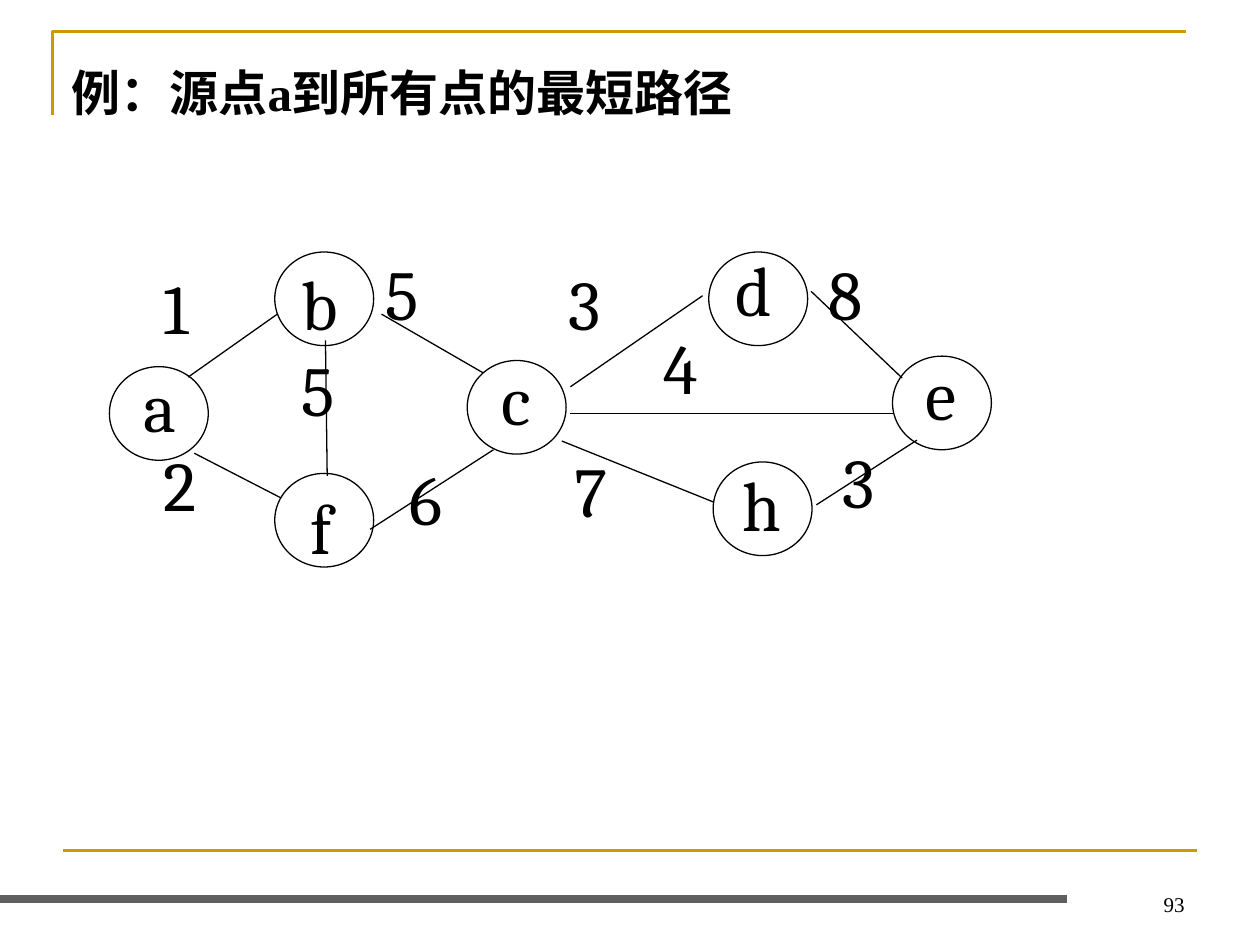
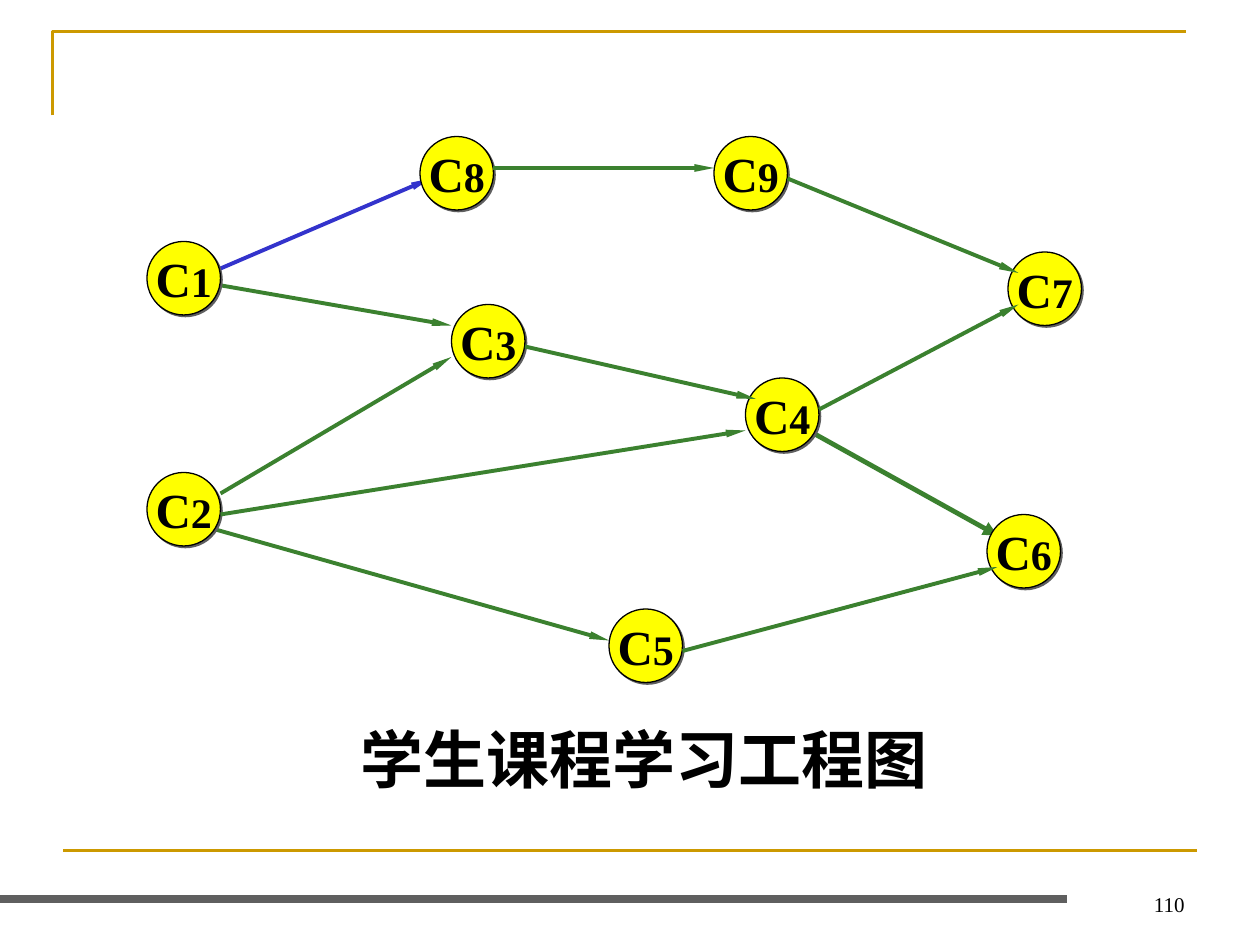
from dataclasses import dataclass

from lxml import etree
from pptx import Presentation
from pptx import util as u
from pptx.dml.color import RGBColor
from pptx.enum import shapes, text
from pptx.oxml import ns

Pt = u.Pt

BLACK = RGBColor(0x00, 0x00, 0x00)
WHITE = RGBColor(0xFF, 0xFF, 0xFF)
GOLD = RGBColor(0xCC, 0x99, 0x00)
GREY = RGBColor(0x5F, 0x5F, 0x5F)
GREEN = RGBColor(0x3B, 0x81, 0x2F)
BLUE = RGBColor(0x33, 0x33, 0xCC)
YELLOW = RGBColor(0xFF, 0xFF, 0x00)

SERIF = "Times New Roman"
GRAPH_FONT = "Cambria"
CHINESE_FONT = "Noto Sans CJK SC"
VERTEX_SIZE = (56.5, 53.5)
COURSE_SIZE = (42, 42)


@dataclass
class Label:
    content: str
    left: float
    top: float
    width: float = 75.5
    height: float = 104
    size: float = 40
    font: str = GRAPH_FONT
    bold: bool = False
    wrap: bool = True
    align: text.PP_ALIGN = text.PP_ALIGN.LEFT
    anchor: text.MSO_ANCHOR = text.MSO_ANCHOR.TOP


@dataclass
class Vertex:
    left: float
    top: float
    label: Label


@dataclass
class Edge:
    x1: float
    y1: float
    x2: float
    y2: float
    color: RGBColor = BLACK
    width: float = 0.75
    head: tuple[str, str] | None = None


@dataclass
class Course:
    number: str
    left: float
    top: float


def arrow(x1: float, y1: float, x2: float, y2: float, color: RGBColor = GREEN) -> Edge:
    return Edge(x1, y1, x2, y2, color, 2.25, ("sm", "lg"))


FRAME_LINES = [
    Edge(36, 486, 684, 486, GOLD, 1.5),
    Edge(0, 513.75, 610, 513.75, GREY, 4.5),
]

VERTICES = [
    Vertex(157, 144, Label("b", 165, 145.5, 83.5, 91.5)),
    Vertex(405, 144, Label("d", 413, 137.5, 94.5)),
    Vertex(267, 206, Label("c", 279.5, 199.5, 94.5)),
    Vertex(157, 270.5, Label("f", 170.5, 273.5, 55.5, 85)),
    Vertex(407.5, 264, Label("h", 417, 260, 94.5)),
    Vertex(62.5, 209.5, Label("a", 75, 203.5, 78.5, 98.5)),
    Vertex(510, 203.5, Label("e", 522, 196.5, 94.5)),
]

PATHS = [
    Edge(158.5, 179.5, 107.5, 215.5),
    Edge(326, 236.25, 510.5, 236.25),
    Edge(218, 179.5, 276, 213),
    Edge(282, 257, 211.5, 302.5),
    Edge(111, 259, 160.5, 284.5),
    Edge(186, 194.5, 187, 272),
    Edge(401.5, 169, 326, 221),
    Edge(321, 252, 408, 287),
    Edge(463.5, 166.5, 515.5, 216),
    Edge(524, 251.5, 466.5, 288.5),
]

WEIGHTS = [
    Label("3", 474.5, 247),
    Label("2", 86.5, 249),
    Label("8", 466.5, 139.5),
    Label("7", 321, 252),
    Label("5", 213, 139.5),
    Label("1", 86.5, 147.5),
    Label("4", 372, 182),
    Label("3", 318, 145.5),
    Label("5", 165, 194.5),
    Label("6", 227, 257),
]

COURSES = [
    Course("8", 240, 78),
    Course("3", 258, 174),
    Course("5", 348, 348),
    Course("4", 426, 216),
    Course("9", 408, 78),
    Course("6", 564, 294),
    Course("7", 576, 144),
    Course("1", 84, 138),
    Course("2", 84, 270),
]

ARROWS_BEHIND = [
    Edge(462, 246, 570, 306, GREEN, 2.75, ("med", "med")),
    arrow(114, 300, 348, 366),
    arrow(126, 282, 258, 204),
    arrow(120, 162, 258, 186),
    arrow(120, 156, 246, 102, BLUE),
]

ARROWS_IN_FRONT = [
    arrow(282, 96, 408, 96),
    arrow(300, 198, 432, 228),
    arrow(126, 294, 426, 246),
    arrow(450, 102, 582, 156),
    arrow(468, 234, 582, 174),
    arrow(390, 372, 570, 324),
]


def style_run(run, size: float, font: str, bold: bool) -> None:
    run.font.size = Pt(size)
    run.font.name = font
    run.font.bold = bold
    run.font.color.rgb = BLACK
    etree.SubElement(run.font._element, ns.qn("a:ea"), typeface=CHINESE_FONT)


def draw_label(slide, label: Label) -> None:
    box = slide.shapes.add_textbox(
        Pt(label.left), Pt(label.top), Pt(label.width), Pt(label.height))
    frame = box.text_frame
    frame.word_wrap = label.wrap
    frame.vertical_anchor = label.anchor
    frame.text = label.content
    paragraph = frame.paragraphs[0]
    paragraph.alignment = label.align
    style_run(paragraph.runs[0], label.size, label.font, label.bold)


def draw_edge(slide, edge: Edge) -> None:
    line = slide.shapes.add_connector(
        shapes.MSO_CONNECTOR.STRAIGHT,
        Pt(edge.x1), Pt(edge.y1), Pt(edge.x2), Pt(edge.y2))
    line.line.color.rgb = edge.color
    line.line.width = Pt(edge.width)
    if edge.head:
        width, length = edge.head
        etree.SubElement(line.line._get_or_add_ln(), ns.qn("a:tailEnd"),
                         type="triangle", w=width, len=length)
    etree.SubElement(line._element.spPr, ns.qn("a:effectLst"))


def draw_circle(slide, left: float, top: float, size: tuple[float, float], fill: RGBColor):
    circle = slide.shapes.add_shape(
        shapes.MSO_SHAPE.OVAL, Pt(left), Pt(top), Pt(size[0]), Pt(size[1]))
    circle.fill.solid()
    circle.fill.fore_color.rgb = fill
    circle.line.color.rgb = BLACK
    circle.line.width = Pt(0.75)
    circle.shadow.inherit = False
    return circle


def draw_vertex(slide, vertex: Vertex) -> None:
    draw_circle(slide, vertex.left, vertex.top, VERTEX_SIZE, WHITE)
    draw_label(slide, vertex.label)


def draw_course(slide, course: Course) -> None:
    circle = draw_circle(slide, course.left, course.top, COURSE_SIZE, YELLOW)
    effects = circle._element.spPr.find(ns.qn("a:effectLst"))
    shadow = etree.SubElement(effects, ns.qn("a:outerShdw"), dist=str(Pt(1.4)),
                              dir="2700000", algn="ctr", rotWithShape="0")
    etree.SubElement(shadow, ns.qn("a:srgbClr"), val=str(GREY))
    frame = circle.text_frame
    frame.word_wrap = False
    frame.vertical_anchor = text.MSO_ANCHOR.MIDDLE
    paragraph = frame.paragraphs[0]
    paragraph.alignment = text.PP_ALIGN.CENTER
    for content, size in (("C", 28), (course.number, 24)):
        run = paragraph.add_run()
        run.text = content
        style_run(run, size, SERIF, True)


def add_framed_slide(deck, number: str):
    slide = deck.slides.add_slide(deck.slide_layouts[6])
    builder = slide.shapes.build_freeform(Pt(30), Pt(66))
    builder.add_line_segments([(Pt(30), Pt(18)), (Pt(678), Pt(18))], close=False)
    corner = builder.convert_to_shape()
    corner.fill.background()
    corner.line.color.rgb = GOLD
    corner.line.width = Pt(1.5)
    corner.shadow.inherit = False
    for line in FRAME_LINES:
        draw_edge(slide, line)
    draw_label(slide, Label(number, 516, 491.5, 168, 36, 12, SERIF,
                            align=text.PP_ALIGN.RIGHT, anchor=text.MSO_ANCHOR.BOTTOM))
    return slide


def build_shortest_path(deck) -> None:
    slide = add_framed_slide(deck, "93")
    draw_label(slide, Label("例：源点a到所有点的最短路径", 34, 32, 521, 41, 28, SERIF, True))
    for vertex in VERTICES:
        draw_vertex(slide, vertex)
    for edge in PATHS:
        draw_edge(slide, edge)
    for weight in WEIGHTS:
        draw_label(slide, weight)


def build_course_plan(deck) -> None:
    slide = add_framed_slide(deck, "110")
    for edge in ARROWS_BEHIND:
        draw_edge(slide, edge)
    draw_label(slide, Label("学生课程学习工程图", 199, 408, 342, 50, 36, SERIF, True))
    for course in COURSES:
        draw_course(slide, course)
    for edge in ARROWS_IN_FRONT:
        draw_edge(slide, edge)


def main() -> None:
    deck = Presentation()
    deck.slide_width, deck.slide_height = Pt(720), Pt(540)
    build_shortest_path(deck)
    build_course_plan(deck)
    deck.save("out.pptx")


if __name__ == "__main__":
    main()
